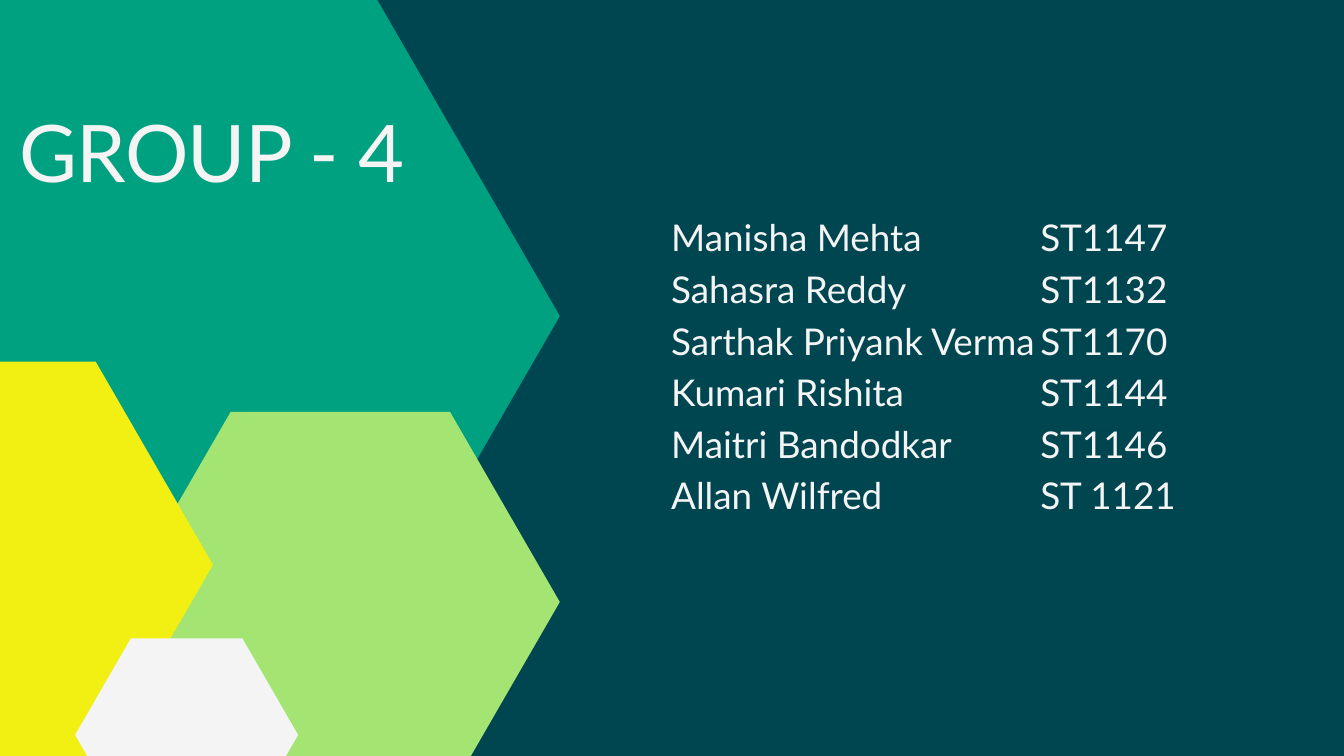
import math

import pptx
import pptx.dml.color
import pptx.enum.shapes
import pptx.enum.text
import pptx.oxml.ns
import pptx.util
from lxml import etree

Cm = pptx.util.Cm
Pt = pptx.util.Pt


def color(value):
    return pptx.dml.color.RGBColor.from_string(value)


class SlideBuilder:
    font_name = "Lato"
    background = "004651"
    light = "F4F4F4"

    def __init__(self, presentation):
        self.slide = presentation.slides.add_slide(presentation.slide_layouts[6])
        fill = self.slide.background.fill
        fill.solid()
        fill.fore_color.rgb = color(self.background)

    def hexagon(self, left, top, width, fill):
        height = width * math.sqrt(3) / 2
        shape = self.slide.shapes.add_shape(
            pptx.enum.shapes.MSO_SHAPE.HEXAGON,
            Cm(left), Cm(top), Cm(width), Cm(height))
        shape.adjustments[0] = width / 4 / height
        shape.shadow.inherit = False
        shape.fill.solid()
        shape.fill.fore_color.rgb = color(fill)
        shape.line.fill.background()

    def text(self, left, top, width, height, lines, size, line_height,
             spacing=0, tab=None):
        box = self.slide.shapes.add_textbox(Cm(left), Cm(top), Cm(width), Cm(height))
        frame = box.text_frame
        frame.margin_left = frame.margin_right = 0
        frame.margin_top = frame.margin_bottom = 0
        frame.word_wrap = True
        frame.auto_size = pptx.enum.text.MSO_AUTO_SIZE.SHAPE_TO_FIT_TEXT
        frame.text = "\n".join(lines)
        for paragraph in frame.paragraphs:
            paragraph.line_spacing = Pt(line_height)
            if tab:
                self.tab_stop(paragraph, tab)
            for run in paragraph.runs:
                run.font.name = self.font_name
                run.font.size = Pt(size)
                run.font.color.rgb = color(self.light)
                if spacing:
                    run.font._element.set("spc", str(round(spacing * 100)))

    def tab_stop(self, paragraph, position):
        qn = pptx.oxml.ns.qn
        properties = paragraph._p.get_or_add_pPr()
        tabs = etree.SubElement(properties, qn("a:tabLst"))
        etree.SubElement(tabs, qn("a:tab"), pos=str(Cm(position)), algn="l")


def main():
    presentation = pptx.Presentation()
    presentation.slide_width = Cm(50.8)
    presentation.slide_height = Cm(28.575)
    builder = SlideBuilder(presentation)

    builder.hexagon(-7.01, -0.25, 28.17, "00A181")
    builder.hexagon(4.57, 15.57, 16.59, "A4E473")
    builder.text(0.74, 3.89, 14.58, 3.58, ["GROUP - 4"], 85, 102, spacing=-0.8)
    builder.hexagon(-9.68, 13.67, 17.73, "F2EF12")
    builder.hexagon(2.84, 24.13, 8.43, builder.light)

    members = [
        ("Manisha Mehta", "ST1147"),
        ("Sahasra Reddy", "ST1132"),
        ("Sarthak Priyank Verma", "ST1170"),
        ("Kumari Rishita", "ST1144"),
        ("Maitri Bandodkar", "ST1146"),
        ("Allan Wilfred", "ST 1121"),
    ]
    lines = ["\t".join(member) for member in members]
    builder.text(25.37, 7.85, 19.56, 13.49, lines, 39.5, 55.3, tab=13.95)

    presentation.save("out.pptx")


if __name__ == "__main__":
    main()
